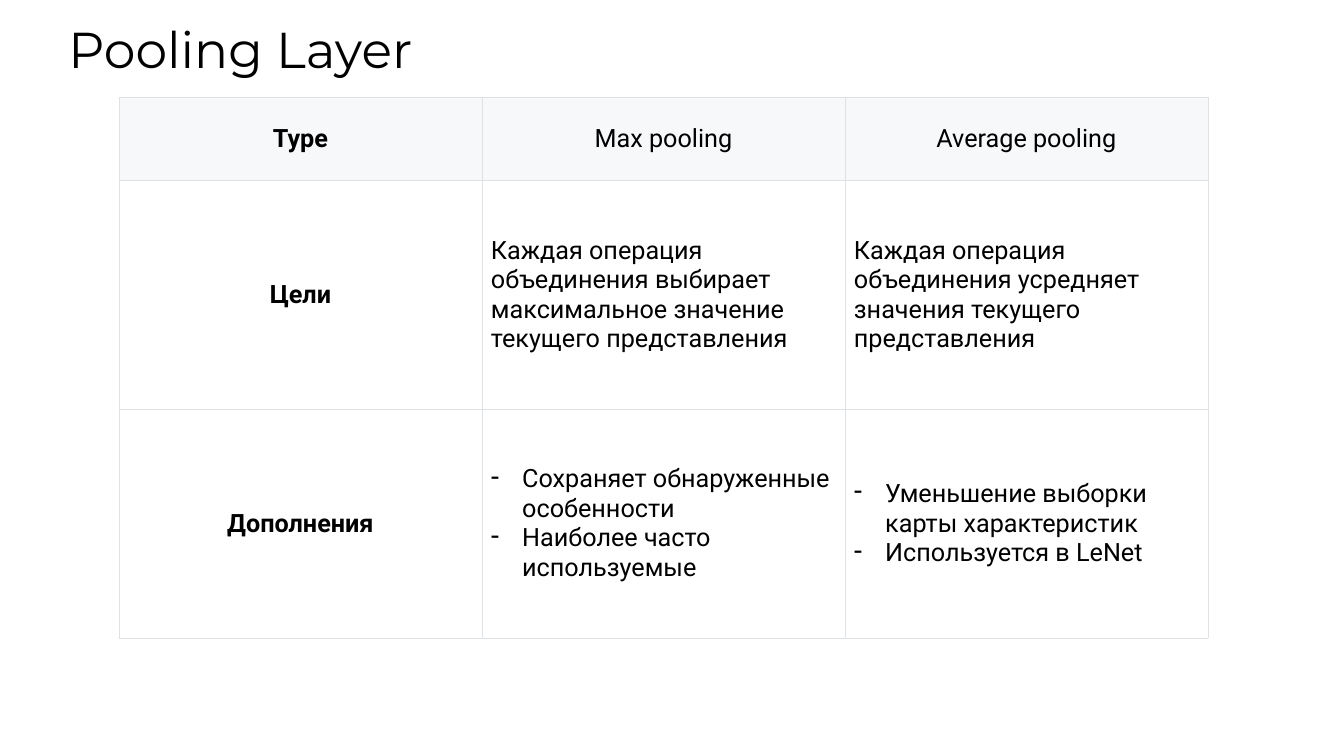
from lxml.etree import SubElement
from pptx import Presentation
from pptx.dml.color import RGBColor
from pptx.enum.text import MSO_ANCHOR, MSO_AUTO_SIZE, PP_ALIGN
from pptx.oxml.ns import qn
from pptx.util import Inches, Pt

TITLE = "Pooling Layer"
HEADINGS = ["Type", "Max pooling", "Average pooling"]
GOALS = [
    "Цели",
    "Каждая операция объединения выбирает\nмаксимальное значение текущего представления",
    "Каждая операция объединения усредняет значения текущего представления",
]
ADDITIONS = [
    "Дополнения",
    "Сохраняет обнаруженные особенности\nНаиболее часто используемые",
    "Уменьшение выборки карты характеристик\nИспользуется в LeNet",
]
COMPARISON = [HEADINGS, GOALS, ADDITIONS]
ROW_HEIGHTS = [0.82, 2.27, 2.27]
COLUMN_WIDTH = 3.6

BLACK = RGBColor(0x00, 0x00, 0x00)
WHITE = RGBColor(0xFF, 0xFF, 0xFF)
HEADER_FILL = RGBColor(0xF6, 0xF8, 0xFA)
BORDER = RGBColor(0xDF, 0xE2, 0xE5)


def write(frame, text, font, size, bold=False, align=PP_ALIGN.LEFT, dash=False):
    frame.text = text
    for paragraph in frame.paragraphs:
        paragraph.alignment = align
        if dash:
            properties = paragraph._p.get_or_add_pPr()
            properties.set("marL", str(Inches(0.31)))
            properties.set("indent", str(-Inches(0.31)))
            SubElement(properties, qn("a:buChar"), char="-")
        for run in paragraph.runs:
            run.font.name = font
            run.font.size = Pt(size)
            run.font.bold = bold
            run.font.color.rgb = BLACK


def style_cell(cell, fill):
    cell.vertical_anchor = MSO_ANCHOR.MIDDLE
    cell.margin_left = cell.margin_right = Inches(0.09)
    cell.margin_top = cell.margin_bottom = Inches(0.04)
    properties = cell._tc.get_or_add_tcPr()
    for side in ("lnL", "lnR", "lnT", "lnB"):
        line = SubElement(properties, qn(f"a:{side}"), w=str(Pt(0.5)))
        SubElement(SubElement(line, qn("a:solidFill")), qn("a:srgbClr"), val=str(BORDER))
    cell.fill.solid()
    cell.fill.fore_color.rgb = fill


def main():
    deck = Presentation()
    deck.slide_width, deck.slide_height = Inches(13.33), Inches(7.5)
    slide = deck.slides.add_slide(deck.slide_layouts[6])

    column_count = len(HEADINGS)
    table = slide.shapes.add_table(
        len(COMPARISON), column_count, Inches(1.18), Inches(0.97),
        Inches(COLUMN_WIDTH * column_count), Inches(sum(ROW_HEIGHTS)),
    ).table
    table.horz_banding = False
    for column in table.columns:
        column.width = Inches(COLUMN_WIDTH)
    for row, height in zip(table.rows, ROW_HEIGHTS):
        row.height = Inches(height)

    for r, entries in enumerate(COMPARISON):
        for c, entry in enumerate(entries):
            cell = table.cell(r, c)
            style_cell(cell, HEADER_FILL if r == 0 else WHITE)
            centred = r == 0 or c == 0
            write(
                cell.text_frame, entry, font="Roboto", size=18, bold=c == 0,
                align=PP_ALIGN.CENTER if centred else PP_ALIGN.LEFT,
                dash=entries is ADDITIONS and c > 0,
            )

    title = slide.shapes.add_textbox(Inches(0.58), Inches(0.13), Inches(3.94), Inches(0.71))
    title.text_frame.word_wrap = False
    title.text_frame.auto_size = MSO_AUTO_SIZE.SHAPE_TO_FIT_TEXT
    write(title.text_frame, TITLE, font="Montserrat", size=36)

    deck.save("out.pptx")


if __name__ == "__main__":
    main()
